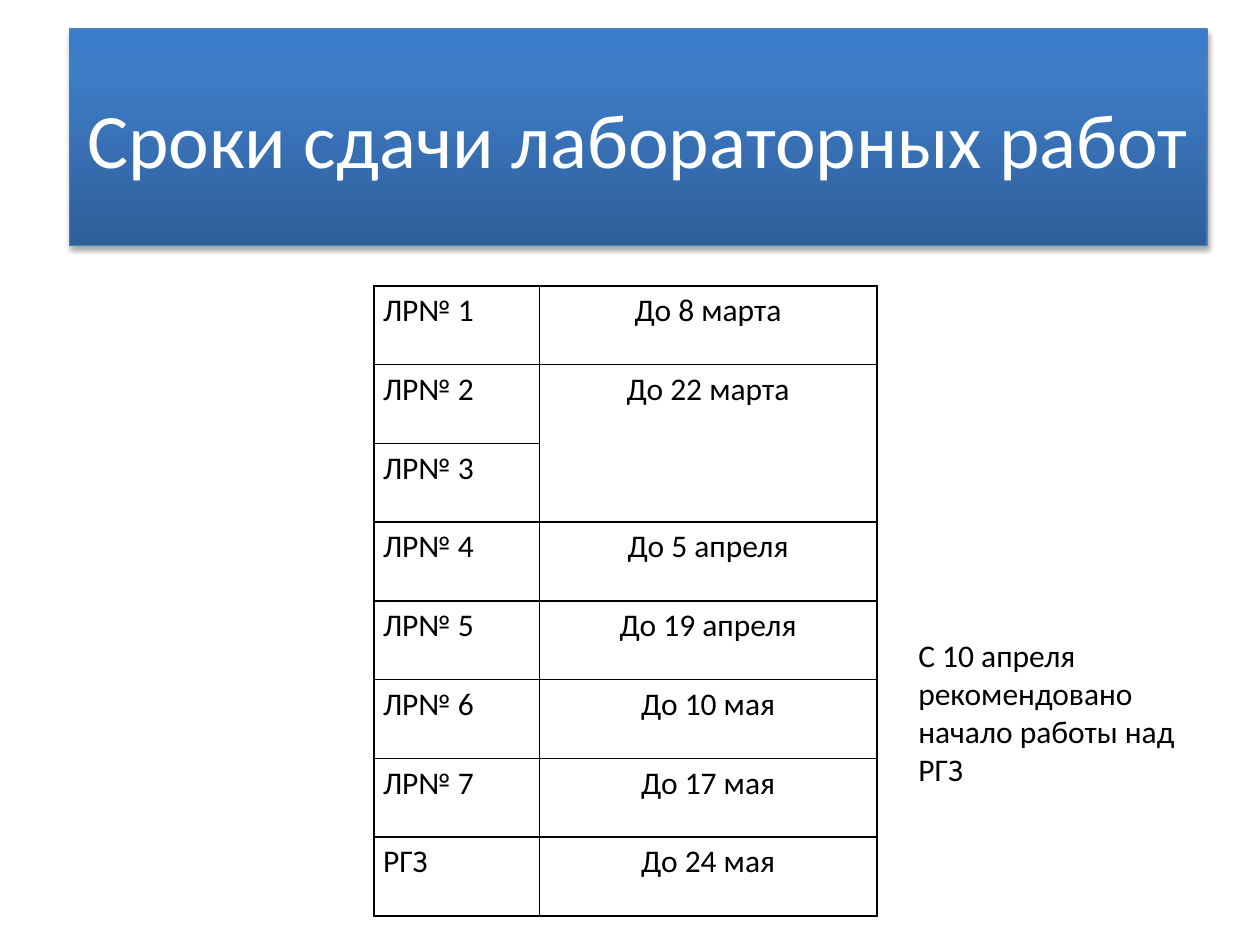
from lxml.etree import SubElement
from pptx import Presentation
from pptx.dml.color import RGBColor
from pptx.enum.shapes import MSO_SHAPE
from pptx.enum.text import MSO_ANCHOR, PP_ALIGN
from pptx.oxml import parse_xml
from pptx.oxml.ns import nsdecls, qn
from pptx.util import Inches, Pt

COLORS = {
    "text": "000000",
    "title_text": "FFFFFF",
    "title_line": "4B7EBC",
    "gradient_dark": "2F5F99",
    "gradient_middle": "3D7CC7",
    "gradient_light": "3A7CCB",
}
DEADLINES = [
    ("ЛР№ 1", "До 8 марта"),
    ("ЛР№ 2", "До 22 марта"),
    ("ЛР№ 3", ""),
    ("ЛР№ 4", "До 5 апреля"),
    ("ЛР№ 5", "До 19 апреля"),
    ("ЛР№ 6", "До 10 мая"),
    ("ЛР№ 7", "До 17 мая"),
    ("РГЗ", "До 24 мая"),
]


def add_text(paragraph, text, size, color):
    run = paragraph.add_run()
    run.text = text
    run.font.name = "Calibri"
    run.font.size = Pt(size)
    run.font.color.rgb = RGBColor.from_string(COLORS[color])


def add_borders(cell):
    properties = cell._tc.get_or_add_tcPr()
    for position, side in enumerate(("lnL", "lnR", "lnT", "lnB")):
        border = parse_xml(
            f'<a:{side} {nsdecls("a")} w="{Pt(1)}"><a:solidFill>'
            f'<a:srgbClr val="{COLORS["text"]}"/></a:solidFill></a:{side}>'
        )
        properties.insert(position, border)


presentation = Presentation()
presentation.slide_width = Inches(10)
presentation.slide_height = Inches(7.5)
slide = presentation.slides.add_slide(presentation.slide_layouts[6])

title = slide.shapes.add_shape(
    MSO_SHAPE.RECTANGLE, Inches(0.55), Inches(0.23), Inches(9.03), Inches(1.72)
)
title.line.color.rgb = RGBColor.from_string(COLORS["title_line"])
title.line.width = Pt(0.75)
title.shadow.inherit = False
title.fill.gradient()
gradient = title._element.spPr.find(qn("a:gradFill"))
stops = gradient.find(qn("a:gsLst"))
for stop in list(stops):
    stops.remove(stop)
for percent, name in ((0, "gradient_dark"), (80, "gradient_middle"), (100, "gradient_light")):
    stop = SubElement(stops, qn("a:gs"), pos=str(percent * 1000))
    SubElement(stop, qn("a:srgbClr"), val=COLORS[name])
gradient.find(qn("a:lin")).set("ang", str(270 * 60000))
effects = title._element.spPr.find(qn("a:effectLst"))
effects.append(parse_xml(
    f'<a:outerShdw {nsdecls("a")} blurRad="{Pt(3.1)}" dist="{Pt(1.8)}" '
    f'dir="5400000" rotWithShape="0"><a:srgbClr val="{COLORS["text"]}">'
    '<a:alpha val="35000"/></a:srgbClr></a:outerShdw>'
))
title.text_frame.word_wrap = True
title.text_frame.vertical_anchor = MSO_ANCHOR.MIDDLE
paragraph = title.text_frame.paragraphs[0]
paragraph.alignment = PP_ALIGN.CENTER
add_text(paragraph, "Сроки сдачи лабораторных работ", 44, "title_text")

table = slide.shapes.add_table(
    len(DEADLINES), 2, Inches(2.97), Inches(2.27), Inches(3.99), Inches(5)
).table
table.first_row = False
table.horz_banding = False
table.columns[0].width = Inches(1.31)
table.columns[1].width = Inches(2.68)
table.cell(1, 1).merge(table.cell(2, 1))
for row, texts in enumerate(DEADLINES):
    for column, text in enumerate(texts):
        cell = table.cell(row, column)
        cell.fill.background()
        add_borders(cell)
        cell.margin_left = cell.margin_right = Inches(0.07)
        cell.margin_top = cell.margin_bottom = 0
        if cell.is_spanned:
            continue
        paragraph = cell.text_frame.paragraphs[0]
        paragraph.alignment = (PP_ALIGN.LEFT, PP_ALIGN.CENTER)[column]
        paragraph.line_spacing = 1.15
        paragraph.space_before = paragraph.space_after = Pt(6)
        add_text(paragraph, text, 18, "text")

note = slide.shapes.add_textbox(Inches(7.19), Inches(5), Inches(2.5), Inches(1.31))
note.text_frame.word_wrap = True
add_text(
    note.text_frame.paragraphs[0],
    "С 10 апреля рекомендовано начало работы над РГЗ", 18, "text",
)

presentation.save("out.pptx")
